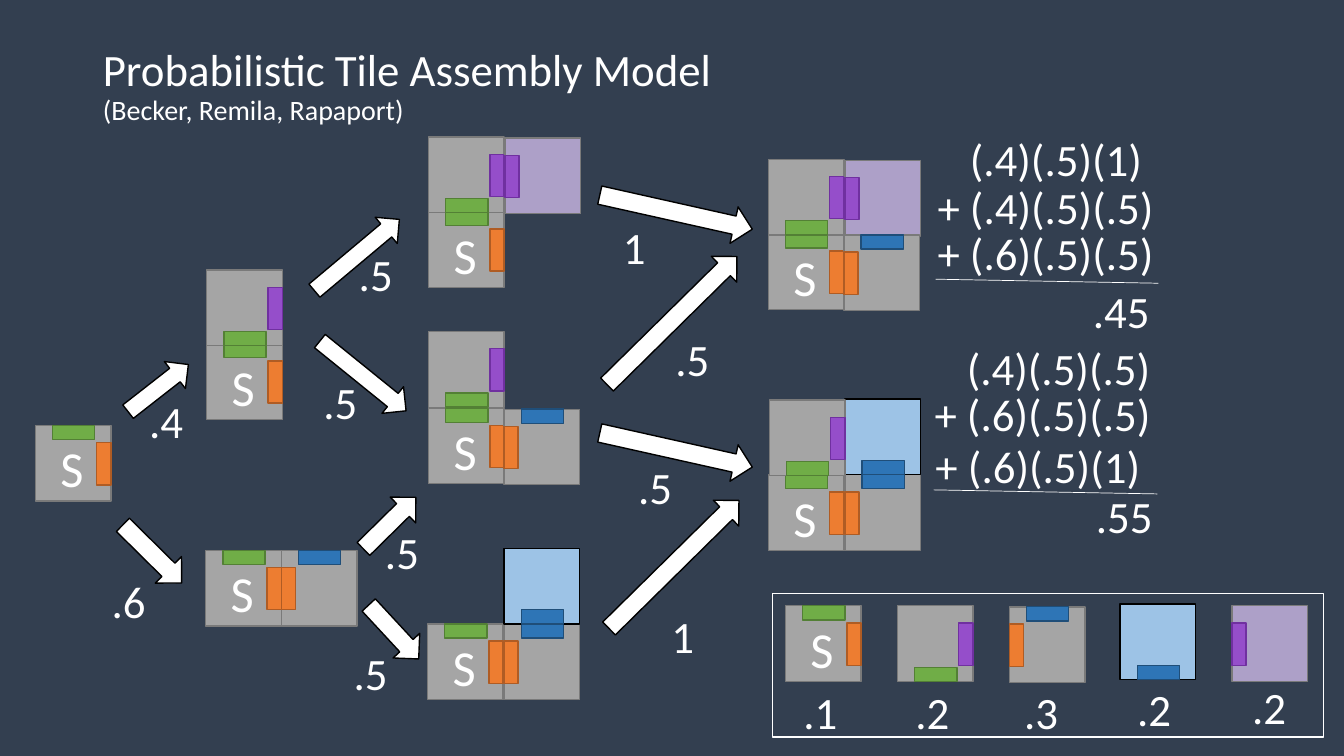
from pptx import Presentation
from pptx.dml.color import RGBColor
from pptx.enum.shapes import MSO_CONNECTOR, MSO_SHAPE
from pptx.enum.text import MSO_ANCHOR, MSO_AUTO_SIZE, PP_ALIGN
from pptx.oxml.ns import qn
from pptx.util import Emu, Pt

RECTANGLE, RIGHT_ARROW = MSO_SHAPE.RECTANGLE, MSO_SHAPE.RIGHT_ARROW
STRAIGHT = MSO_CONNECTOR.STRAIGHT
LEFT, RIGHT = PP_ALIGN.LEFT, PP_ALIGN.RIGHT
TOP = MSO_ANCHOR.TOP
NO_FIT, GROW = MSO_AUTO_SIZE.NONE, MSO_AUTO_SIZE.SHAPE_TO_FIT_TEXT

EMU_PER_PX = 9144
TILE = 75
FONT = "Calibri"
COLORS = {
    "background": "333F50", "white": "FFFFFF", "black": "000000",
    "gray": "A5A5A5", "edge": "7A7A7A", "sky": "9DC3E6", "violet": "ADA0C8",
    "green": "70AD47", "green edge": "538035",
    "orange": "ED7D31", "orange edge": "AF5C24",
    "blue": "2E75B6", "blue edge": "1F4E79",
    "purple": "954ECA", "purple edge": "7030A0",
}
GLUE_BOXES = {
    "top": (17, 0, 42, 14), "bottom": (17, 61, 42, 14),
    "left": (0, 17, 14, 42), "right": (61, 17, 14, 42),
}
TILE_KINDS = {
    "seed": ("gray", "edge", {"right": "orange", "top": "green"}),
    "upper": ("gray", "edge", {"bottom": "green", "right": "purple"}),
    "side": ("gray", "edge", {"left": "orange", "top": "blue"}),
    "sky": ("sky", "black", {"bottom": "blue"}),
    "violet": ("violet", "edge", {"left": "purple"}),
}
TILES = [
    ("violet", 1222, 601), ("side", 1001, 602), ("seed", 779, 601),
    ("upper", 890, 601), ("sky", 1111, 599),
    ("seed", 35, 422),
    ("seed", 205, 341), ("upper", 205, 268),
    ("seed", 204, 546), ("side", 279, 546),
    ("seed", 425, 405), ("side", 500, 406), ("upper", 425, 329),
    ("seed", 425, 210), ("upper", 425, 136), ("violet", 501, 137),
    ("seed", 424, 619), ("side", 500, 619), ("sky", 500, 544),
    ("seed", 762, 232), ("upper", 762, 158), ("violet", 838, 159),
    ("side", 837, 233),
    ("seed", 762, 471), ("side", 838, 471), ("sky", 838, 396),
    ("upper", 763, 397),
]
ARROWS = [
    (119, 368, 76, 34, 322), (110, 531, 82, 37, 44.7),
    (350, 501, 73, 36, 315.4), (305, 356, 110, 34, 39),
    (299, 236, 110, 34, 320), (354, 609, 73, 36, 47.2),
    (578, 542, 181, 36, 315.4), (593, 428, 155, 37, 12.6),
    (576, 300, 181, 36, 315.4), (593, 192, 155, 37, 12.6),
]
PROBABILITIES = [
    (".1", 787, 674), (".2", 898, 674), (".3", 1006, 674),
    (".2", 1118, 671), (".2", 1232, 669),
    (".4", 138, 386), (".6", 101, 564),
    (".5", 341, 636), (".5", 372, 516), (".5", 311, 367), (".5", 346, 240),
    ("1", 608, 213), (".5", 660, 324), (".5", 623, 451), ("1", 656, 599),
]
SUM_TERMS = [
    ("(.4)(.5)(1)", 952, 126), ("+ (.4)(.5)(.5)", 920, 173),
    ("+ (.6)(.5)(.5)", 920, 219),
    ("(.4)(.5)(.5)", 949, 333), ("+ (.6)(.5)(.5)", 917, 379),
    ("+ (.6)(.5)(1)", 918, 430),
]
TOTALS = [(".45", 902, 277), (".55", 905, 480)]
RULES = [(928, 277, 1149, 281), (926, 486, 1148, 490)]


def px(*lengths):
    """Turn pixel lengths into EMU."""
    return [Emu(round(length * EMU_PER_PX)) for length in lengths]


def color(name):
    """Look up a named colour."""
    return RGBColor.from_string(COLORS[name])


def add_box(shapes, box, fill, line, kind=RECTANGLE, rotation=0):
    """Draw a preset shape with a one-point outline."""
    shape = shapes.add_shape(kind, *px(*box))
    shape.shadow.inherit = False
    shape.rotation = rotation
    if fill:
        shape.fill.solid()
        shape.fill.fore_color.rgb = color(fill)
    else:
        shape.fill.background()
    shape.line.color.rgb = color(line)
    shape.line.width = Pt(1)
    return shape


def write(para, text, size=32, align=LEFT, line_spacing=None):
    """Fill a paragraph with one white span."""
    para.alignment = align
    para.space_before = Pt(0)
    para.line_spacing = line_spacing
    span = para.add_run()
    span.text = text
    span.font.name = FONT
    span.font.size = Pt(size)
    span.font.color.rgb = color("white")


def add_text(shapes, text, box, wrap=True, **text_format):
    """Place one line of text in its own box."""
    frame = shapes.add_textbox(*px(*box)).text_frame
    frame.word_wrap = wrap
    frame.auto_size = GROW
    write(frame.paragraphs[0], text, **text_format)


def add_tile(page, kind, left, top):
    """Draw a tile with the glues on its sides as one group."""
    fill, line, glues = TILE_KINDS[kind]
    shapes = page.shapes.add_group_shape().shapes
    add_box(shapes, (left, top, TILE, TILE), fill, line)
    for side, glue in glues.items():
        dx, dy, width, height = GLUE_BOXES[side]
        add_box(shapes, (left + dx, top + dy, width, height), glue, glue + " edge")
    if kind == "seed":
        add_text(shapes, "S", (left + 15, top + 7, 43, 71), wrap=False, size=36)


def add_rule(page, ends):
    """Draw the thin line above a total."""
    rule = page.shapes.add_connector(STRAIGHT, *px(*ends))
    rule.line.color.rgb = color("white")
    rule.line.width = Pt(0.5)
    properties = rule._element.spPr
    properties.append(properties.makeelement(qn("a:effectLst"), {}))


def set_title(page, title, authors):
    """Move and fill the title placeholder."""
    box = page.shapes.title
    box.left, box.top, box.width, box.height = px(92, 42, 687, 90)
    frame = box.text_frame
    frame.word_wrap = True
    frame.auto_size = NO_FIT
    frame.vertical_anchor = TOP
    write(frame.paragraphs[0], title, line_spacing=0.9)
    write(frame.add_paragraph(), authors, size=20, line_spacing=0.9)


def main():
    """Build the slide and save the deck."""
    deck = Presentation()
    deck.slide_width, deck.slide_height = px(1333, 750)
    page = deck.slides.add_slide(deck.slide_layouts[5])
    page.background.fill.solid()
    page.background.fill.fore_color.rgb = color("background")
    set_title(page, "Probabilistic Tile Assembly Model", "(Becker, Remila, Rapaport)")
    add_box(page.shapes, (766, 589, 547, 142), None, "white")
    for kind, left, top in TILES:
        add_tile(page, kind, left, top)
    for *box, rotation in ARROWS:
        add_box(page.shapes, box, "white", "black", RIGHT_ARROW, rotation)
    for text, left, top in PROBABILITIES:
        add_text(page.shapes, text, (left, top, 90, 64))
    for text, left, top in SUM_TERMS:
        add_text(page.shapes, text, (left, top, 248, 64))
    for text, left, top in TOTALS:
        add_text(page.shapes, text, (left, top, 248, 64), align=RIGHT)
    for ends in RULES:
        add_rule(page, ends)
    deck.save("out.pptx")


if __name__ == "__main__":
    main()
